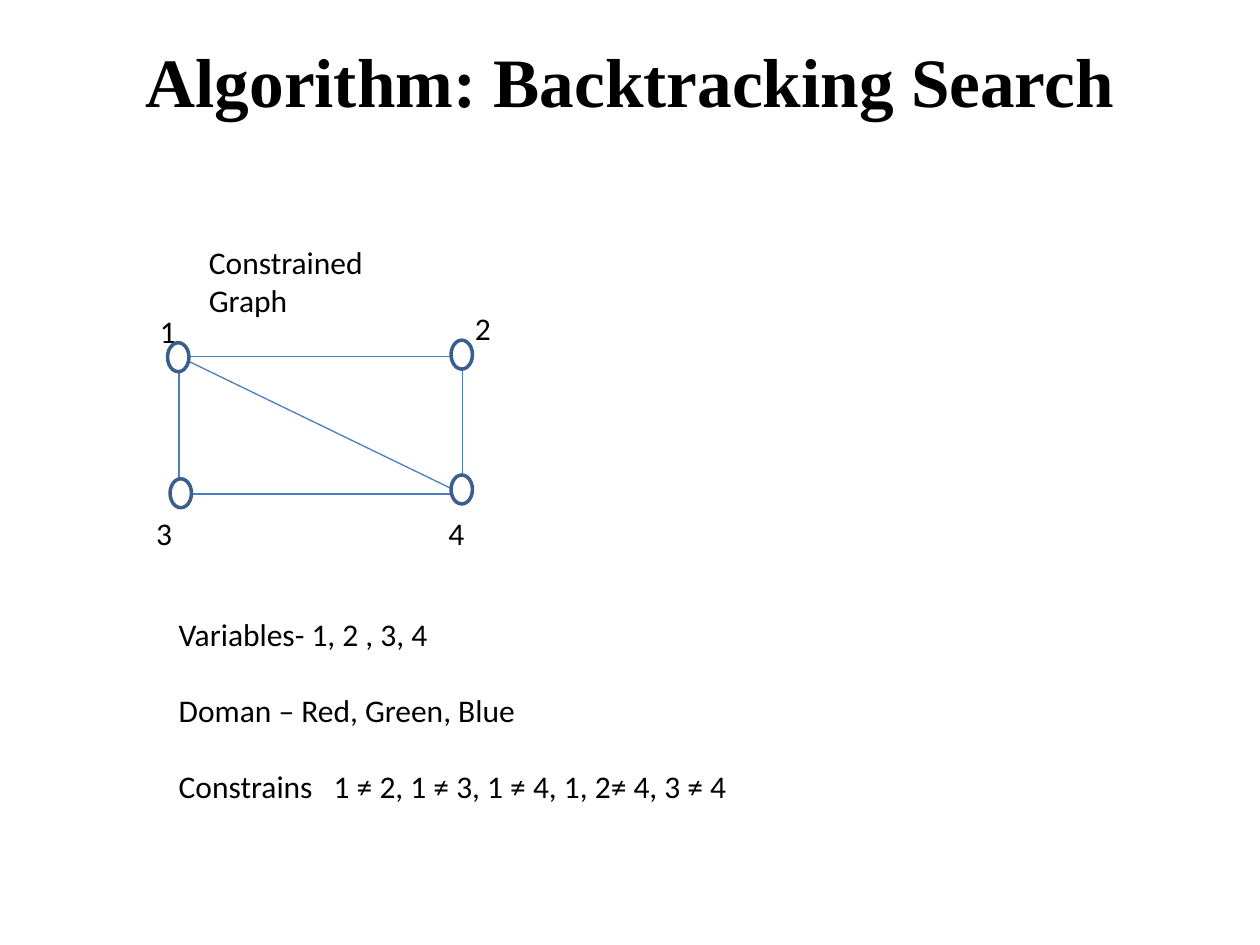
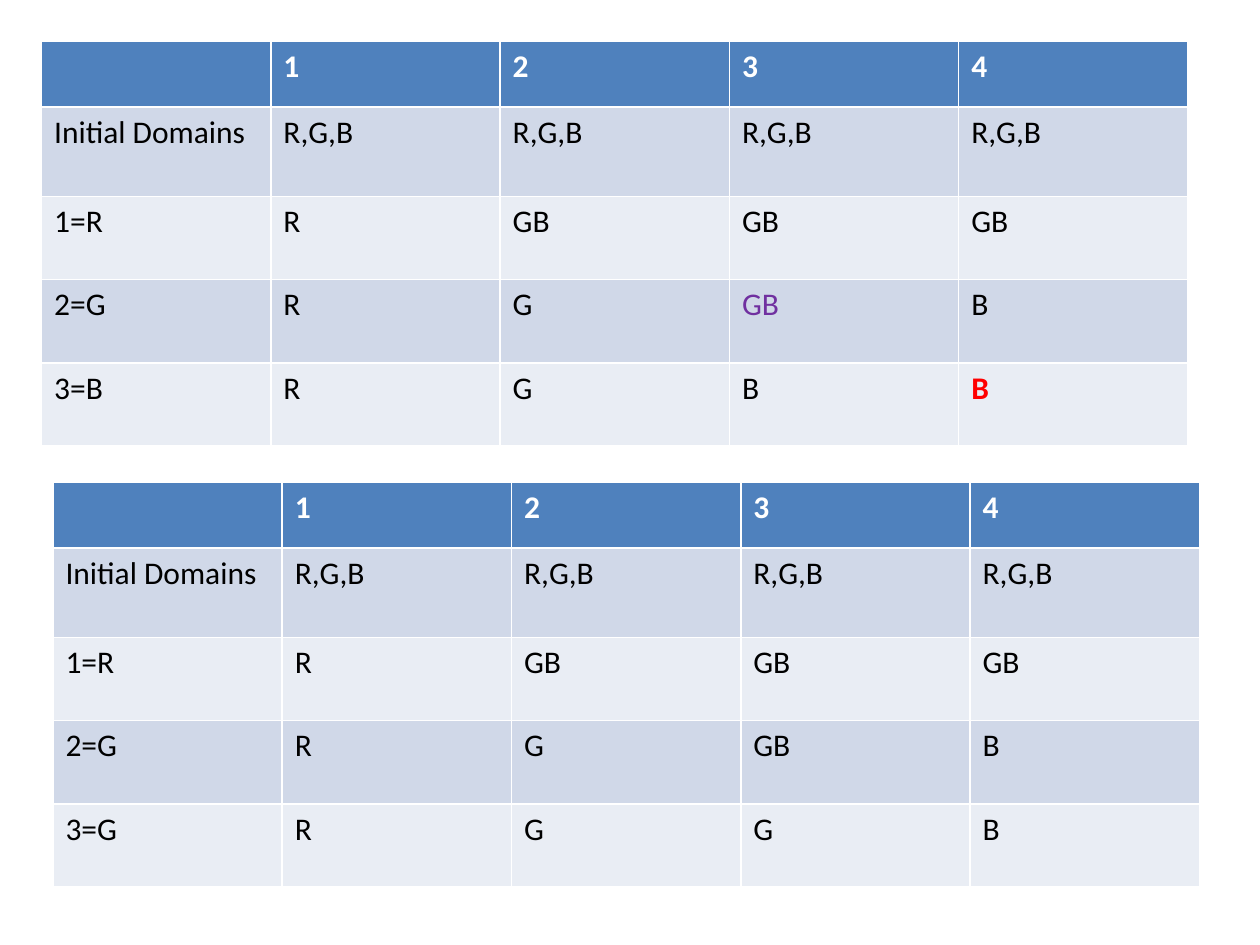
import pptx
import pptx.dml.color
import pptx.enum.shapes
import pptx.enum.text
import pptx.util
from lxml import etree
from pptx.oxml.ns import qn
from pptx.util import Inches

BLACK = "000000"
WHITE = "FFFFFF"
EDGE_BLUE = "4B7EBC"
NODE_BLUE = "3A5F8C"
HEADER_BLUE = "4F81BD"
BAND_FILLS = ["D0D8E8", "E9EDF4"]
PURPLE = "7030A0"
RED = "FF0000"

TITLE_FONT = "Times New Roman"
BODY_FONT = "Calibri"
BODY_SIZE = 18

CORNERS = {1: (1.42, 2.83), 2: (3.67, 2.83), 3: (1.42, 3.92), 4: (3.67, 3.92)}
CONSTRAINED_PAIRS = [(1, 2), (3, 4), (1, 3), (2, 4), (1, 4)]
NODE_PLACES = [(1.33, 2.72), (3.58, 2.7), (1.35, 3.8), (3.58, 3.77)]
NODE_LABELS = [
    ("1", (1.17, 2.43, 0.33, 0.71)),
    ("2", (3.67, 2.4, 0.33, 1.01)),
    ("3", (1.14, 4.03, 0.42, 0.4)),
    ("4", (3.46, 4.03, 0.42, 0.4)),
]
PROBLEM_STATEMENT = [
    "Variables- 1, 2 , 3, 4",
    "Doman – Red, Green, Blue",
    "Constrains\t1 ≠ 2, 1 ≠ 3, 1 ≠ 4, 1, 2≠ 4, 3 ≠ 4",
]

SHARED_STEPS = [
    ["", "1", "2", "3", "4"],
    ["Initial Domains"] + ["R,G,B"] * 4,
    ["1=R", "R", "GB", "GB", "GB"],
    ["2=G", "R", "G", "GB", "B"],
]
COLUMN_WIDTH = 1.82
ROW_HEIGHTS = [0.52, 0.71, 0.66, 0.66, 0.66]


def rgb(hex_color):
    return pptx.dml.color.RGBColor.from_string(hex_color)


def format_text(paragraph, color=BLACK, bold=False, size=BODY_SIZE, font=BODY_FONT):
    for run in paragraph.runs:
        run.font.name = font
        run.font.size = pptx.util.Pt(size)
        run.font.bold = bold
        run.font.color.rgb = rgb(color)


def set_title(slide, text):
    title = slide.shapes.title
    title.left, title.top, title.width, title.height = map(Inches, (0.5, 0.3, 9, 1.25))
    frame = title.text_frame
    frame.text = text
    frame.margin_top = 0
    frame.vertical_anchor = pptx.enum.text.MSO_ANCHOR.TOP
    heading = frame.paragraphs[0]
    heading.alignment = pptx.enum.text.PP_ALIGN.CENTER
    format_text(heading, bold=True, size=39.6, font=TITLE_FONT)


def add_text(slide, lines, place, gap=0):
    frame = slide.shapes.add_textbox(*map(Inches, place)).text_frame
    frame.word_wrap = True
    frame.text = "\n".join(lines)
    for paragraph in frame.paragraphs:
        paragraph.space_after = pptx.util.Pt(gap)
        format_text(paragraph)
    return frame


def add_tab_stop(paragraph, position):
    properties = paragraph._p.get_or_add_pPr()
    tab_list = etree.SubElement(properties, qn("a:tabLst"))
    etree.SubElement(tab_list, qn("a:tab"), pos=str(Inches(position)), algn="l")


def add_edge(slide, start, end):
    edge = slide.shapes.add_connector(
        pptx.enum.shapes.MSO_CONNECTOR.STRAIGHT, *map(Inches, start + end)
    )
    edge.line.color.rgb = rgb(EDGE_BLUE)
    edge.line.width = pptx.util.Pt(0.75)
    etree.SubElement(edge._element.spPr, qn("a:effectLst"))


def add_node(slide, left, top):
    node = slide.shapes.add_shape(
        pptx.enum.shapes.MSO_SHAPE.OVAL, *map(Inches, (left, top, 0.17, 0.23))
    )
    node.shadow.inherit = False
    node.fill.solid()
    node.fill.fore_color.rgb = rgb(WHITE)
    node.line.color.rgb = rgb(NODE_BLUE)
    node.line.width = pptx.util.Pt(2)


def add_domain_table(slide, left, top, steps):
    width = COLUMN_WIDTH * len(steps[0])
    table = slide.shapes.add_table(
        len(steps), len(steps[0]), *map(Inches, (left, top, width, sum(ROW_HEIGHTS)))
    ).table
    for column in table.columns:
        column.width = Inches(COLUMN_WIDTH)
    for row, height in zip(table.rows, ROW_HEIGHTS):
        row.height = Inches(height)
    for row_index, domains in enumerate(steps):
        is_header = row_index == 0
        fill = HEADER_BLUE if is_header else BAND_FILLS[(row_index - 1) % 2]
        for column_index, domain in enumerate(domains):
            cell = table.cell(row_index, column_index)
            cell.text = domain
            cell.fill.solid()
            cell.fill.fore_color.rgb = rgb(fill)
            format_text(
                cell.text_frame.paragraphs[0],
                color=WHITE if is_header else BLACK,
                bold=is_header,
            )
    return table


def build_graph_slide(deck):
    slide = deck.slides.add_slide(deck.slide_layouts[5])
    set_title(slide, "Algorithm: Backtracking Search")
    for first, second in CONSTRAINED_PAIRS:
        add_edge(slide, CORNERS[first], CORNERS[second])
    for label, place in NODE_LABELS:
        add_text(slide, [label], place)
    for left, top in NODE_PLACES:
        add_node(slide, left, top)
    add_text(slide, ["Constrained Graph"], (1.56, 1.88, 1.44, 0.71))
    statement = add_text(slide, PROBLEM_STATEMENT, (1.32, 4.83, 5.1, 1.62), gap=22)
    add_tab_stop(statement.paragraphs[-1], 1.23)


def build_domains_slide(deck):
    slide = deck.slides.add_slide(deck.slide_layouts[6])
    failed = add_domain_table(
        slide, 0.33, 0.33, SHARED_STEPS + [["3=B", "R", "G", "B", "B"]]
    )
    format_text(failed.cell(3, 3).text_frame.paragraphs[0], color=PURPLE)
    format_text(failed.cell(4, 4).text_frame.paragraphs[0], color=RED, bold=True)
    add_domain_table(slide, 0.42, 3.83, SHARED_STEPS + [["3=G", "R", "G", "G", "B"]])


def main():
    deck = pptx.Presentation()
    deck.slide_width = Inches(10)
    deck.slide_height = Inches(7.5)
    build_graph_slide(deck)
    build_domains_slide(deck)
    deck.save("out.pptx")


if __name__ == "__main__":
    main()
